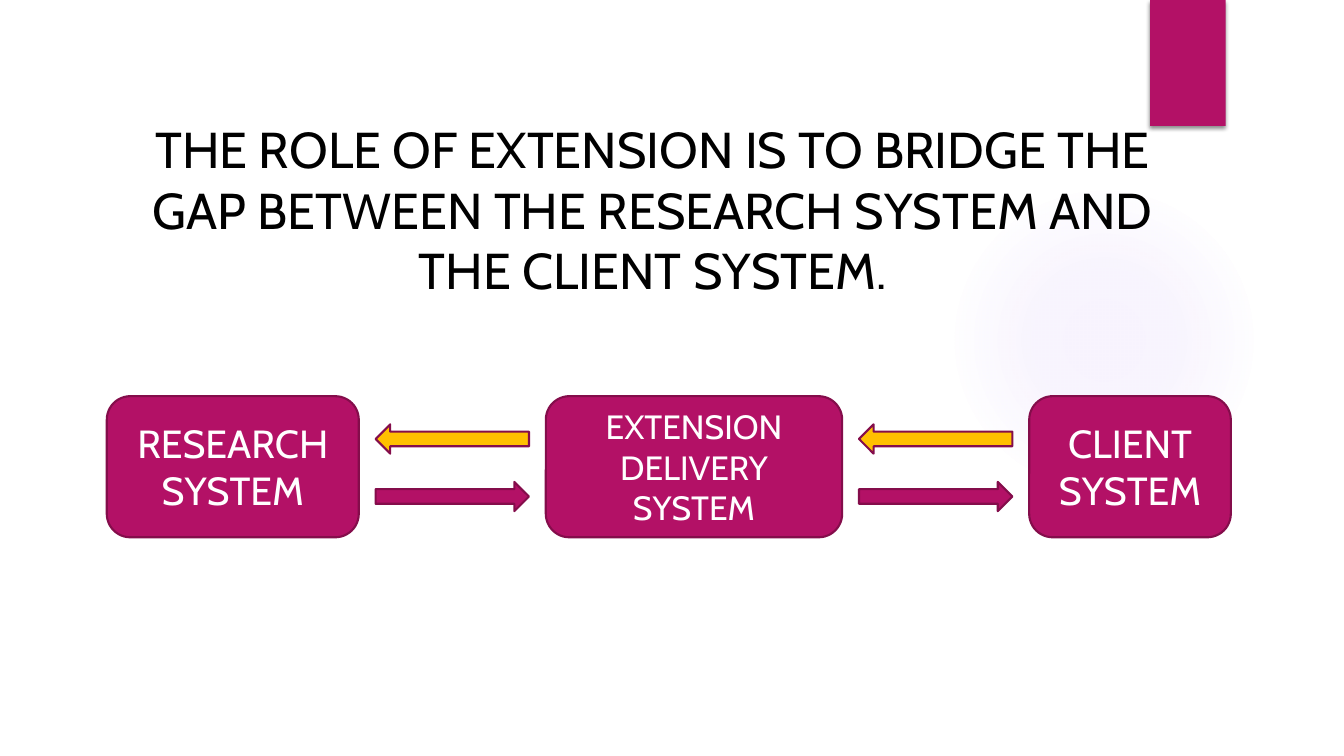
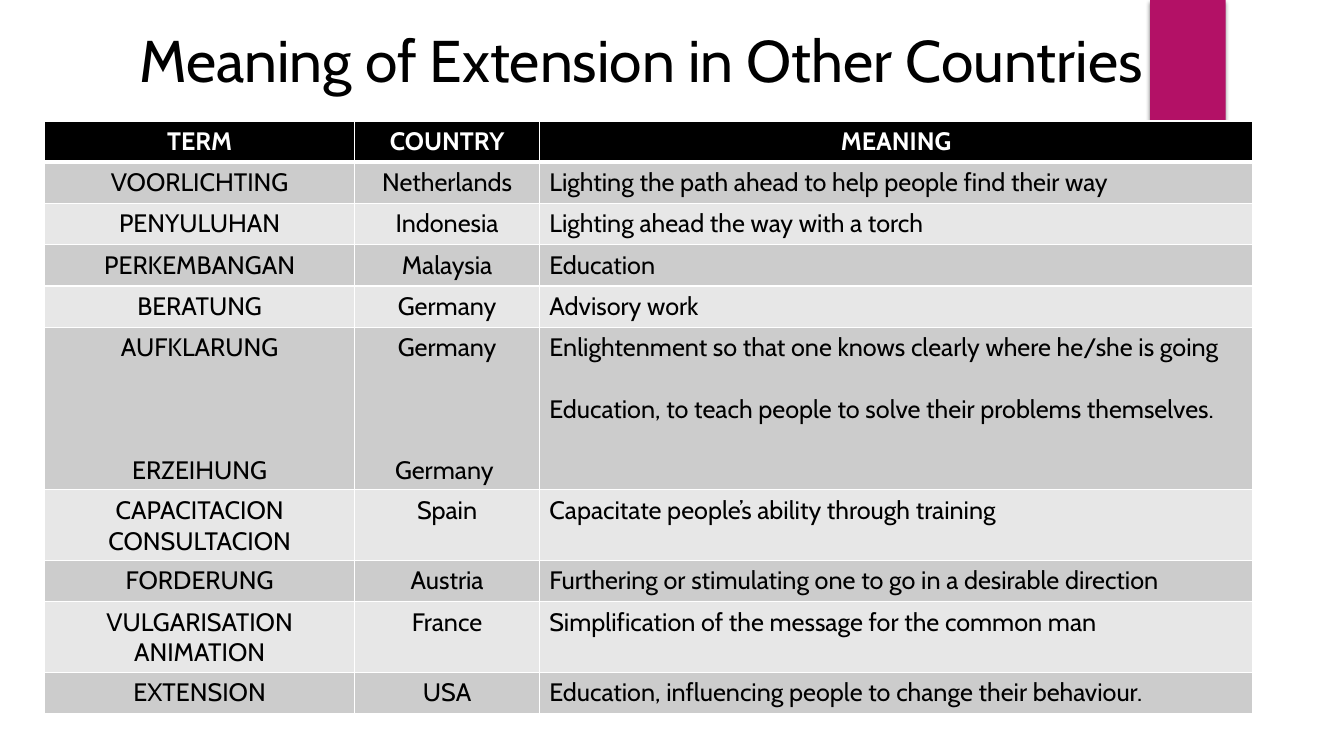
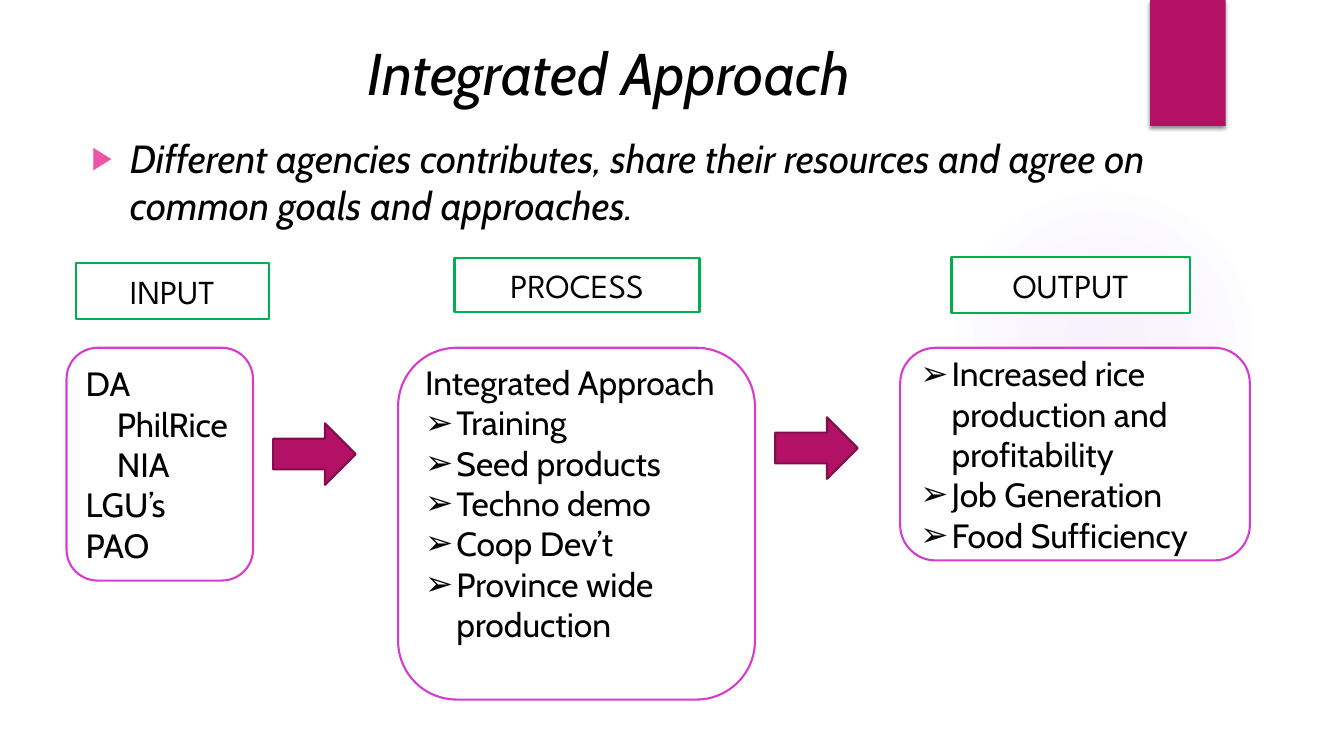
from pptx import Presentation
from pptx.dml.color import RGBColor as Rgb
from pptx.enum.shapes import MSO_SHAPE as Form
from pptx.enum.text import MSO_ANCHOR as Anchor, PP_ALIGN as Align
from pptx.oxml import parse_xml
from pptx.oxml.ns import nsdecls
from pptx.util import Pt

HUES = {
    "band": "B31166", "edge": "840D4B", "gold": "FFC000", "glow": "9B6BF2",
    "mark": "EF53A5", "frame": "D53DD0", "green": "00B050",
    "black": "000000", "white": "FFFFFF", "dark": "CCCCCC", "pale": "E7E7E7",
}


def node(tag, attrs="", inner=""):
    return parse_xml(f'<a:{tag} {nsdecls("a")} {attrs}>{inner}</a:{tag}>')


def tint(name, alpha=100):
    return f'<a:srgbClr val="{HUES[name]}"><a:alpha val="{alpha * 1000}"/></a:srgbClr>'


class Deck:
    font = {"size": 24, "name": "Cabin", "hue": "black", "bold": False, "italic": False}
    step = 22.3

    def __init__(self):
        self.file = Presentation()
        self.file.slide_width, self.file.slide_height = Pt(960), Pt(540)
        self.slide = None

    def page(self, title, box, **look):
        self.slide = self.file.slides.add_slide(self.file.slide_layouts[6])
        self.glow(677.5, 131.8, 221.8)
        band = self.shape(Form.RECTANGLE, (821.5, 0, 54, 90), "band")
        shade = node("outerShdw", 'blurRad="38100" dist="25400" dir="5400000" rotWithShape="0"',
                     tint("black", 45))
        band._element.spPr[-1].append(shade)
        self.text(title, box, **look)

    def glow(self, left, top, size):
        disc = self.shape(Form.OVAL, (left, top, size, size))
        stops = "".join(f'<a:gs pos="{pos * 1000}">{tint("glow", alpha)}</a:gs>'
                        for pos, alpha in ((0, 7), (36, 6), (69, 0), (100, 0)))
        inner = (f'<a:gsLst>{stops}</a:gsLst><a:path path="circle">'
                 '<a:fillToRect l="50000" t="50000" r="50000" b="50000"/></a:path>')
        disc._element.spPr.insert(2, node("gradFill", "", inner))

    def shape(self, form, box, fill=None, line=None, lines=(), low=3.6, **look):
        item = self.slide.shapes.add_shape(form, *map(Pt, box))
        item.shadow.inherit = False
        if fill:
            item.fill.solid()
            item.fill.fore_color.rgb = Rgb.from_string(HUES[fill])
        if line:
            item.line.color.rgb = Rgb.from_string(HUES[line])
            item.line.width = Pt(1.5)
        else:
            item.line.fill.background()
        if lines:
            item.text_frame.margin_bottom = Pt(low)
            self.words(item.text_frame, lines, **look)
        return item

    def text(self, lines, box, **look):
        item = self.slide.shapes.add_textbox(*map(Pt, box))
        self.words(item.text_frame, lines, **look)

    def arrow(self, form, box, fill="band"):
        self.shape(form, box, fill, "edge")

    def words(self, frame, lines, align=Align.CENTER, anchor=Anchor.MIDDLE, **look):
        frame.word_wrap = True
        frame.vertical_anchor = anchor
        for rank, line in enumerate(lines):
            words, form = line if isinstance(line, tuple) else (line, {})
            para = frame.paragraphs[0] if rank == 0 else frame.add_paragraph()
            para.alignment = align
            if "before" in form:
                para.space_before = Pt(form["before"])
            self.indent(para, **form)
            run = para.add_run()
            run.text = words
            style = {**self.font, **look}
            run.font.color.rgb = Rgb.from_string(HUES[style.pop("hue")])
            style["size"] = Pt(style["size"])
            for key, value in style.items():
                setattr(run.font, key, value)

    def indent(self, para, left=0, mark=None, hue="black", part=100, before=0):
        props = para._p.get_or_add_pPr()
        if left:
            props.set("marL", str(Pt(left)))
        if mark:
            props.set("indent", str(-Pt(left)))
            props.append(node("buClr", "", tint(hue)))
            props.append(node("buSzPct", f'val="{part * 1000}"'))
            props.append(node("buFont", 'typeface="Arial"'))
            props.append(node("buChar", f'char="{mark}"'))

    def table(self, box, widths, rows):
        grid = self.slide.shapes.add_table(len(rows), len(widths), *map(Pt, box)).table
        for col, width in zip(grid.columns, widths):
            col.width = Pt(width)
        for down, row in enumerate(rows):
            grid.rows[down].height = Pt(29.5)
            head = down == 0
            fill = "black" if head else ("pale", "dark")[down % 2]
            for over, lines in enumerate(row):
                cell = grid.cell(down, over)
                self.edge(cell, top=3 if down == 1 else 1, low=3 if head else 1)
                cell.fill.solid()
                cell.fill.fore_color.rgb = Rgb.from_string(HUES[fill])
                self.words(cell.text_frame, [lines] if isinstance(lines, str) else lines,
                           align=Align.LEFT if over == 2 and not head else Align.CENTER,
                           anchor=Anchor.TOP, size=18, bold=head,
                           hue="white" if head else "black")

    def edge(self, cell, top, low):
        props = cell._tc.get_or_add_tcPr()
        for side, width in {"L": 1, "R": 1, "T": top, "B": low}.items():
            props.append(node(f"ln{side}", f'w="{Pt(width)}"',
                              f'<a:solidFill>{tint("white")}</a:solidFill>'))

    def bullet(self, words):
        return words, {"left": self.step, "mark": "➢"}


def role(deck):
    deck.page(["THE ROLE OF EXTENSION IS TO BRIDGE THE GAP BETWEEN THE RESEARCH SYSTEM "
               "AND THE CLIENT SYSTEM."], (76.3, 80, 779.8, 139), size=36)
    left, gap, inset = 76.3, 133.6, 12
    parts = (("RESEARCH SYSTEM", 180, 28), ("EXTENSION DELIVERY SYSTEM", 211.7, 24),
             ("CLIENT SYSTEM", 144, 28))
    for rank, (words, width, size) in enumerate(parts):
        if rank:
            span = gap - 2 * inset
            deck.arrow(Form.RIGHT_ARROW, (left - gap + inset, 344.2, span, 20.9))
            deck.arrow(Form.LEFT_ARROW, (left - gap + inset, 303.1, span, 20.9), "gold")
        deck.shape(Form.ROUNDED_RECTANGLE, (left, 283, width, 100.8), "band", "edge",
                   [words], size=size, hue="white")
        left += width + gap


def meaning(deck):
    deck.page(["Meaning of Extension in Other Countries"], (92.2, 10.8, 741, 62),
              size=42, align=Align.LEFT)
    line = 21.9
    far, near = {"before": 3 * line}, {"before": line}
    deck.table((31.7, 86.4, 863.4, 295), (221.8, 131.8, 509.8), [
        ("TERM", "COUNTRY", "MEANING"),
        ("VOORLICHTING", "Netherlands", "Lighting the path ahead to help people find their way"),
        ("PENYULUHAN", "Indonesia", "Lighting ahead the way with a torch"),
        ("PERKEMBANGAN", "Malaysia", "Education"),
        ("BERATUNG", "Germany", "Advisory work"),
        (["AUFKLARUNG", ("ERZEIHUNG", far)], ["Germany", ("Germany ", far)],
         ["Enlightenment so that one knows clearly where he/she is going",
          ("Education, to teach people to solve their problems themselves.", near)]),
        ("CAPACITACION CONSULTACION", "Spain", "Capacitate people’s ability through training"),
        ("FORDERUNG", "Austria", "Furthering or stimulating one to go in a desirable direction"),
        ("VULGARISATION ANIMATION", "France", "Simplification of the message for the common man"),
        ("EXTENSION", "USA", "Education, influencing people to change their behaviour."),
    ])


def approach(deck):
    deck.page(["Integrated Approach "], (69.1, 20.2, 741, 62), size=42, italic=True)
    deck.text([("Different agencies contributes, share their resources and agree on "
                "common goals and approaches.",
                {"left": 27.4, "mark": "▶", "hue": "mark", "part": 80})],
              (58.3, 91.5, 835, 75.5), size=28, italic=True, align=Align.LEFT)
    sub = {"left": deck.step}
    boxes = (
        ((47.5, 133.2, 166.3), 3.6,
         ["DA", ("PhilRice", sub), ("NIA", sub), "LGU’s", "PAO"]),
        ((284.4, 254.9, 251.3), 32.9,
         ["Integrated Approach", *map(deck.bullet, (
             "Training", "Seed products", "Techno demo", "Coop Dev’t",
             "Province wide production"))]),
        ((643, 249.8, 151.9), 3.6,
         [*map(deck.bullet, ("Increased rice production and profitability",
                             "Job Generation", "Food Sufficiency"))]),
    )
    for (left, width, height), low, lines in boxes:
        deck.shape(Form.ROUNDED_RECTANGLE, (left, 248.4, width, height), "white", "frame",
                   lines, low, align=Align.LEFT)
    heads = {"INPUT": (54, 187.9, 138.2, 40.3), "PROCESS": (324.7, 184.3, 175, 38.9),
             "OUTPUT": (679.7, 183.6, 170.6, 40.3)}
    for words, box in heads.items():
        deck.shape(Form.RECTANGLE, box, "white", "green", [words], name="League Spartan")
    for left, top in ((195.1, 302.4), (553.7, 298.1)):
        deck.arrow(Form.RIGHT_ARROW, (left, top, 59, 43.9))


def main():
    deck = Deck()
    for build in (role, meaning, approach):
        build(deck)
    deck.file.save("out.pptx")


if __name__ == "__main__":
    main()
